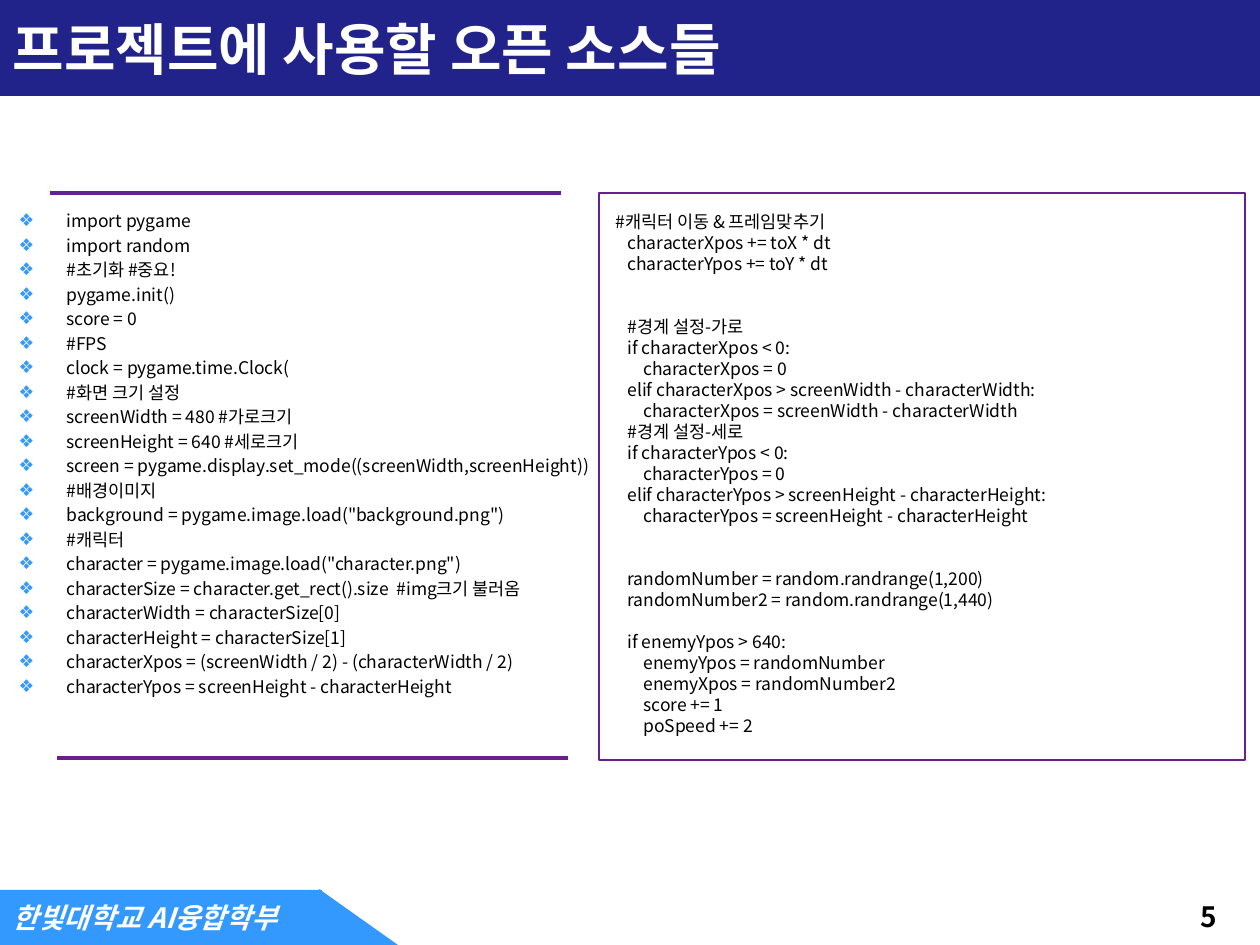
from dataclasses import dataclass

from lxml import etree
from pptx import Presentation
from pptx import util as u
from pptx.dml.color import RGBColor
from pptx.enum import shapes, text
from pptx.oxml import ns

PX = u.Inches(1) / 126


@dataclass(frozen=True)
class Theme:
    font: str = "Noto Sans CJK KR"
    navy: str = "22228B"
    blue: str = "3399FF"
    purple: str = "66218C"
    white: str = "FFFFFF"
    black: str = "000000"
    title_size: int = 32
    footer_size: int = 16
    code_size: int = 10
    line_pitch: int = 12
    item_gap: int = 2
    rule_width: float = 2.25
    frame_width: int = 1


THEME = Theme()

SETUP_CODE = """import pygame
import random
#초기화 #중요!
pygame.init()
score = 0
#FPS
clock = pygame.time.Clock(
#화면 크기 설정
screenWidth = 480 #가로크기
screenHeight = 640 #세로크기
screen = pygame.display.set_mode((screenWidth,screenHeight))
#배경이미지
background = pygame.image.load("background.png")
#캐릭터
character = pygame.image.load("character.png")
characterSize = character.get_rect().size  #img크기 불러옴
characterWidth = characterSize[0]
characterHeight = characterSize[1]
characterXpos = (screenWidth / 2) - (characterWidth / 2)
characterYpos = screenHeight - characterHeight"""

# Leading spaces become indents, and empty lines become space before.
LOOP_CODE = """ #캐릭터 이동 & 프레임맞추기
    characterXpos += toX * dt
    characterYpos += toY * dt


    #경계 설정-가로
    if characterXpos < 0:
        characterXpos = 0
    elif characterXpos > screenWidth - characterWidth:
        characterXpos = screenWidth - characterWidth
    #경계 설정-세로
    if characterYpos < 0:
        characterYpos = 0
    elif characterYpos > screenHeight - characterHeight:
        characterYpos = screenHeight - characterHeight


    randomNumber = random.randrange(1,200)
    randomNumber2 = random.randrange(1,440)

    if enemyYpos > 640:
        enemyYpos = randomNumber
        enemyXpos = randomNumber2
        score += 1
        poSpeed += 2"""


def px(length):
    return u.Emu(round(length * PX))


def color(value):
    return RGBColor.from_string(value)


def apply(target, **values):
    for name, value in values.items():
        setattr(target, name, value)


def place(shape, left, top, width, height):
    apply(shape, left=px(left), top=px(top), width=px(width), height=px(height))


def add_child(parent, tag, **attributes):
    return etree.SubElement(parent, ns.qn(tag), attributes)


def write(para, words, size, ink, **style):
    para.alignment = text.PP_ALIGN.LEFT
    span = para.add_run()
    span.text = words
    apply(span.font, name=THEME.font, size=u.Pt(size), **style)
    span.font.color.rgb = color(ink)
    add_child(span.font._element, "a:ea", typeface=THEME.font)


def set_frame(shape, anchor=text.MSO_ANCHOR.TOP):
    frame = shape.text_frame
    apply(frame, word_wrap=True, auto_size=text.MSO_AUTO_SIZE.NONE,
          vertical_anchor=anchor)
    return frame


def next_para(frame, index):
    return frame.add_paragraph() if index else frame.paragraphs[0]


def add_block(page, kind, bounds, fill=None, line=None):
    block = page.shapes.add_shape(kind, *map(px, bounds))
    block.shadow.inherit = False
    if fill:
        block.fill.solid()
        block.fill.fore_color.rgb = color(fill)
    else:
        block.fill.background()
    if line:
        block.line.color.rgb = color(line)
        block.line.width = u.Pt(THEME.frame_width)
    else:
        block.line.fill.background()
    return block


def add_rules(page, starts, length):
    group = page.shapes.add_group_shape()
    for left, top in starts:
        rule = group.shapes.add_connector(
            shapes.MSO_CONNECTOR.STRAIGHT, *map(px, (left, top, left + length, top)))
        rule.line.color.rgb = color(THEME.purple)
        rule.line.width = u.Pt(THEME.rule_width)
        add_child(rule._element.spPr, "a:effectLst")


def fill_title(title, words):
    place(title, 0, 0, 1260, 96)
    title.fill.solid()
    title.fill.fore_color.rgb = color(THEME.navy)
    frame = set_frame(title, text.MSO_ANCHOR.MIDDLE)
    write(frame.paragraphs[0], words, THEME.title_size, THEME.white, bold=True)


def add_bullet(para, hang):
    properties = para._p.get_or_add_pPr()
    properties.set("marL", str(px(hang)))
    properties.set("indent", str(-px(hang)))
    tint = add_child(properties, "a:buClr")
    add_child(tint, "a:srgbClr", val=THEME.blue)
    add_child(properties, "a:buChar", char="❖")


def fill_list(body, code):
    place(body, 6, 106, 1239, 784)
    frame = set_frame(body)
    frame.margin_top = px(104)
    for index, words in enumerate(code.splitlines()):
        para = next_para(frame, index)
        apply(para, line_spacing=u.Pt(THEME.line_pitch),
              space_before=u.Pt(THEME.item_gap if index else 0))
        add_bullet(para, 48)
        write(para, words, THEME.code_size, THEME.black)


def add_code(page, bounds, code, space_width):
    frame = set_frame(page.shapes.add_textbox(*map(px, bounds)))
    gap = count = 0
    for line in code.splitlines():
        words = line.lstrip()
        if not words:
            gap += THEME.line_pitch
            continue
        para = next_para(frame, count)
        apply(para, line_spacing=u.Pt(THEME.line_pitch), space_before=u.Pt(gap))
        indent = px((len(line) - len(words)) * space_width)
        para._p.get_or_add_pPr().set("marL", str(indent))
        write(para, words, THEME.code_size, THEME.black)
        gap, count = 0, count + 1


def add_footer(page, words, number):
    number_box = page.shapes.add_textbox(*map(px, (1188, 893, 67, 46)))
    write(set_frame(number_box).paragraphs[0], number,
          THEME.footer_size, THEME.black, bold=True)
    add_block(page, shapes.MSO_SHAPE.RIGHT_TRIANGLE, (319, 889, 79, 56), THEME.blue)
    band = add_block(page, shapes.MSO_SHAPE.RECTANGLE, (0, 890, 322, 55), THEME.blue)
    frame = set_frame(band, text.MSO_ANCHOR.MIDDLE)
    write(frame.paragraphs[0], words, THEME.footer_size, THEME.white,
          bold=True, italic=True)


def main():
    deck = Presentation()
    apply(deck, slide_width=px(1260), slide_height=px(945))
    page = deck.slides.add_slide(deck.slide_layouts[1])
    add_footer(page, "한빛대학교 AI융합학부", "5")
    fill_title(page.shapes.title, "프로젝트에 사용할 오픈 소스들")
    fill_list(page.placeholders[1], SETUP_CODE)
    add_rules(page, [(50, 193), (57, 758)], 511)
    add_block(page, shapes.MSO_SHAPE.RECTANGLE, (599, 193, 646, 567),
              line=THEME.purple)
    add_code(page, (599, 205, 646, 543), LOOP_CODE, 4)
    deck.save("out.pptx")


if __name__ == "__main__":
    main()
